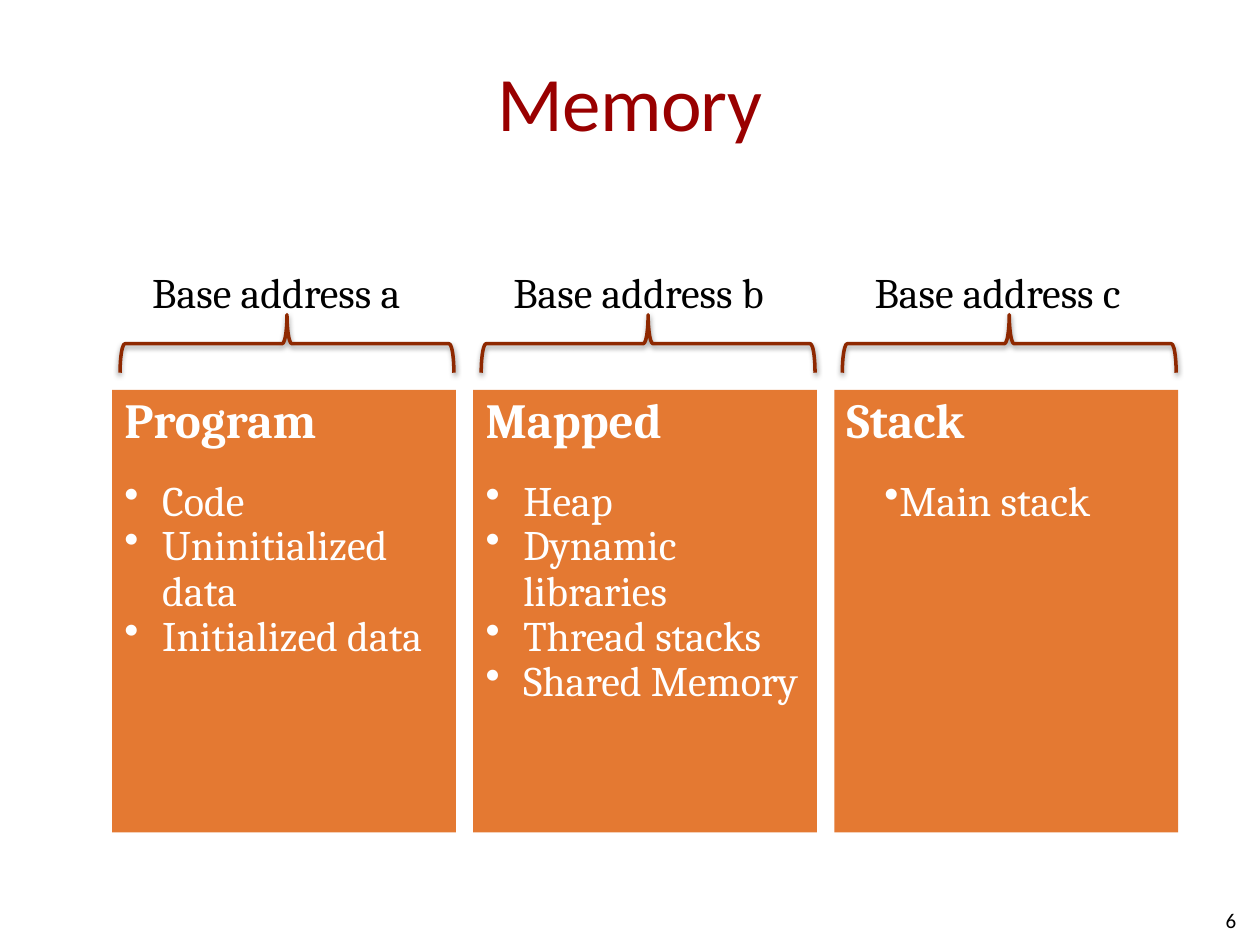
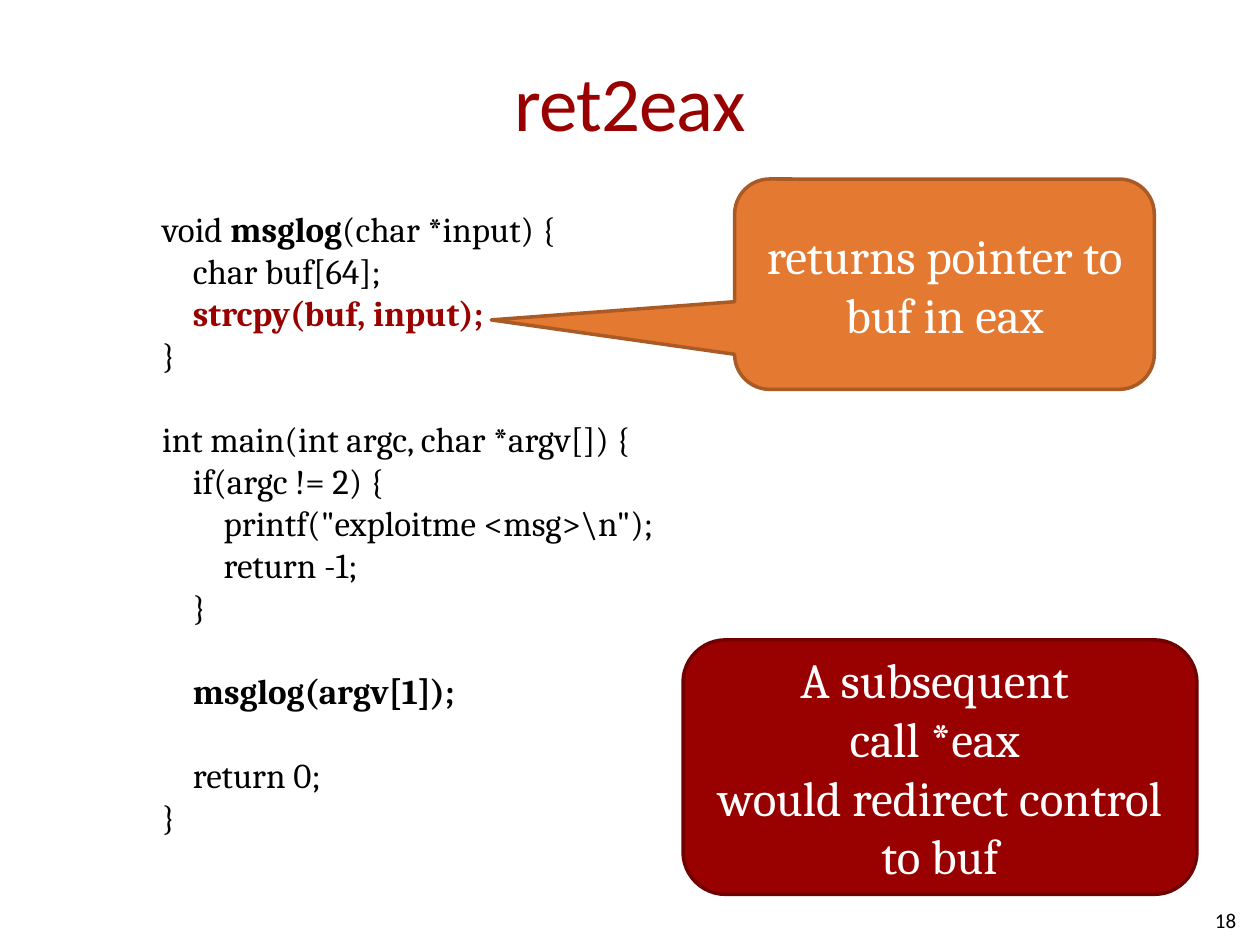
from lxml.etree import SubElement
from pptx import Presentation
from pptx.dml.color import RGBColor
from pptx.enum.shapes import MSO_SHAPE as Shape
from pptx.enum.text import MSO_ANCHOR as Anchor, MSO_AUTO_SIZE as AutoSize, PP_ALIGN as Align
from pptx.oxml.ns import qn
from pptx.util import Cm, Pt

COLORS = {
    "red": "990000",
    "dark red": "710000",
    "orange": "E47932",
    "dark orange": "A95A25",
    "brace": "8E2800",
    "white": "FFFFFF",
    "black": "000000",
}
HEADING_FONT = "Calibri"
BODY_FONT = "Cambria"
CODE_INDENT = 0.62
CODE_LINE = Pt(24)

REGIONS = [
    ("Program", "Base address a", ["Code", "Uninitialized data", "Initialized data"]),
    ("Mapped", "Base address b", ["Heap", "Dynamic libraries", "Thread stacks", "Shared Memory"]),
    ("Stack", "Base address c", ["Main stack"]),
]

CODE_BLOCKS = [
    [
        (0, [("void ", False, "black"), ("msglog", True, "black"), ("(char *input) {", False, "black")]),
        (1, [("char buf[64];", False, "black")]),
        (1, [("strcpy(buf, input);", True, "red")]),
        (0, [("}", False, "black")]),
    ],
    [
        (0, [("int main(int argc, char *argv[]) {", False, "black")]),
        (1, [("if(argc != 2) {", False, "black")]),
        (2, [('printf("exploitme <msg>\\n");', False, "black")]),
        (2, [("return -1;", False, "black")]),
        (1, [("}", False, "black")]),
    ],
    [(1, [("msglog(argv[1]);", True, "black")])],
    [
        (1, [("return 0;", False, "black")]),
        (0, [("}", False, "black")]),
    ],
]


def rgb(name):
    return RGBColor.from_string(COLORS[name])


def set_font(paragraph, size, color, name=BODY_FONT, bold=False):
    font = paragraph.font
    font.name, font.size, font.bold = name, Pt(size), bold
    font.color.rgb = rgb(color)


def next_paragraph(frame, is_first):
    return frame.paragraphs[0] if is_first else frame.add_paragraph()


def set_indent(paragraph, left, first=0.0):
    properties = paragraph._p.get_or_add_pPr()
    properties.set("marL", str(Cm(left)))
    properties.set("indent", str(Cm(first)))
    return properties


def add_bullet(paragraph, left, first):
    properties = set_indent(paragraph, left, first)
    bullet = SubElement(properties, qn("a:buChar"), char="•")
    properties.insert_element_before(bullet, "a:tabLst", "a:defRPr", "a:extLst")


def add_filled_shape(slide, kind, box, fill, line=None):
    shape = slide.shapes.add_shape(kind, *map(Cm, box))
    shape.shadow.inherit = False
    shape.fill.solid()
    shape.fill.fore_color.rgb = rgb(fill)
    if line:
        shape.line.color.rgb = rgb(line)
        shape.line.width = Pt(2)
    else:
        shape.line.fill.background()
    return shape


def add_text(slide, box, text, size, align=Align.LEFT, name=BODY_FONT):
    shape = slide.shapes.add_textbox(*map(Cm, box))
    frame = shape.text_frame
    frame.text = text
    frame.paragraphs[0].alignment = align
    set_font(frame.paragraphs[0], size, "black", name)
    return frame


def add_titled_slide(presentation, title, number):
    slide = presentation.slides.add_slide(presentation.slide_layouts[5])
    shape = slide.shapes.title
    shape.left, shape.top, shape.width, shape.height = map(Cm, (1.27, 0.43, 22.86, 3.18))
    frame = shape.text_frame
    frame.text = title
    frame.margin_left = frame.margin_right = 0
    frame.vertical_anchor = Anchor.MIDDLE
    paragraph = frame.paragraphs[0]
    paragraph.alignment = Align.CENTER
    set_font(paragraph, 44, "red", HEADING_FONT)
    paragraph.runs[0]._r.get_or_add_rPr().set("spc", "-50")
    footer = add_text(slide, (19.25, 18.03, 5.92, 1.02), number, 12, Align.RIGHT, HEADING_FONT)
    footer.word_wrap = True
    footer.vertical_anchor = Anchor.MIDDLE
    return slide


def add_brace(slide, center_x, center_y, thickness, span):
    brace = slide.shapes.add_shape(
        Shape.LEFT_BRACE,
        Cm(center_x - thickness / 2), Cm(center_y - span / 2), Cm(thickness), Cm(span))
    brace.rotation = 90
    brace.fill.background()
    brace.line.color.rgb = rgb("brace")
    brace.line.width = Pt(2)
    brace.shadow.inherit = False
    effects = brace._element.spPr.find(qn("a:effectLst"))
    shadow = SubElement(effects, qn("a:outerShdw"), blurRad=str(Pt(3.1)), dist=str(Pt(1.6)),
                        dir="5400000", rotWithShape="0")
    color = SubElement(shadow, qn("a:srgbClr"), val=COLORS["black"])
    SubElement(color, qn("a:alpha"), val="38000")


def add_region(slide, box, heading, address, items):
    left, top, width, height = box
    panel = add_filled_shape(slide, Shape.RECTANGLE, box, "orange")
    frame = panel.text_frame
    frame.vertical_anchor = Anchor.TOP
    hanging = (0.76, -0.76) if len(items) > 1 else (0, 0.76)
    for index, text in enumerate([heading, *items]):
        paragraph = next_paragraph(frame, index == 0)
        paragraph.text = text
        paragraph.alignment = Align.LEFT
        paragraph.line_spacing = 1.5 if index == 1 else 0.9
        if index:
            add_bullet(paragraph, *hanging)
        set_font(paragraph, 24 if index else 28, "white", bold=index == 0)
    add_brace(slide, left + width / 2 + 0.06, top - 0.93, 1.17, 6.73)
    label = add_text(slide, (left + 0.56, top - 2.62, 5.9, 1.27), address, 24)
    label.word_wrap = False
    label.auto_size = AutoSize.SHAPE_TO_FIT_TEXT


def add_code(slide, box):
    frame = slide.shapes.add_textbox(*map(Cm, box)).text_frame
    frame.word_wrap = True
    for block_index, block in enumerate(CODE_BLOCKS):
        for line_index, (level, pieces) in enumerate(block):
            paragraph = next_paragraph(frame, block_index == line_index == 0)
            set_indent(paragraph, level * CODE_INDENT)
            if block_index and line_index == 0:
                paragraph.space_before = CODE_LINE
            set_font(paragraph, 20, "black")
            for text, bold, color in pieces:
                run = paragraph.add_run()
                run.text = text
                run.font.bold = bold
                run.font.color.rgb = rgb(color)


def add_remark(slide, kind, box, text, fill, line):
    shape = add_filled_shape(slide, kind, box, fill, line)
    frame = shape.text_frame
    frame.word_wrap = True
    frame.vertical_anchor = Anchor.MIDDLE
    paragraph = frame.paragraphs[0]
    paragraph.text = text
    paragraph.alignment = Align.CENTER
    set_font(paragraph, 28, "white")
    return shape


def build_memory_slide(presentation):
    slide = add_titled_slide(presentation, "Memory", "6")
    left, pitch = 2.26, 7.28
    for index, region in enumerate(REGIONS):
        add_region(slide, (left + index * pitch, 7.86, 6.93, 8.92), *region)


def build_ret2eax_slide(presentation):
    slide = add_titled_slide(presentation, "ret2eax", "18")
    add_code(slide, (3.02, 4.06, 12.42, 13.08))
    callout = add_remark(slide, Shape.ROUNDED_RECTANGULAR_CALLOUT, (14.81, 3.61, 8.46, 4.24),
                         "returns pointer to buf in eax", "orange", "dark orange")
    callout.adjustments[0] = -1.08
    callout.adjustments[1] = 0.17
    add_remark(slide, Shape.ROUNDED_RECTANGLE, (13.77, 12.9, 10.36, 5.13),
               "A subsequent \vcall *eax \vwould redirect control to buf", "red", "dark red")


def main():
    presentation = Presentation()
    presentation.slide_width, presentation.slide_height = Cm(25.4), Cm(19.05)
    build_memory_slide(presentation)
    build_ret2eax_slide(presentation)
    presentation.save("out.pptx")


if __name__ == "__main__":
    main()
